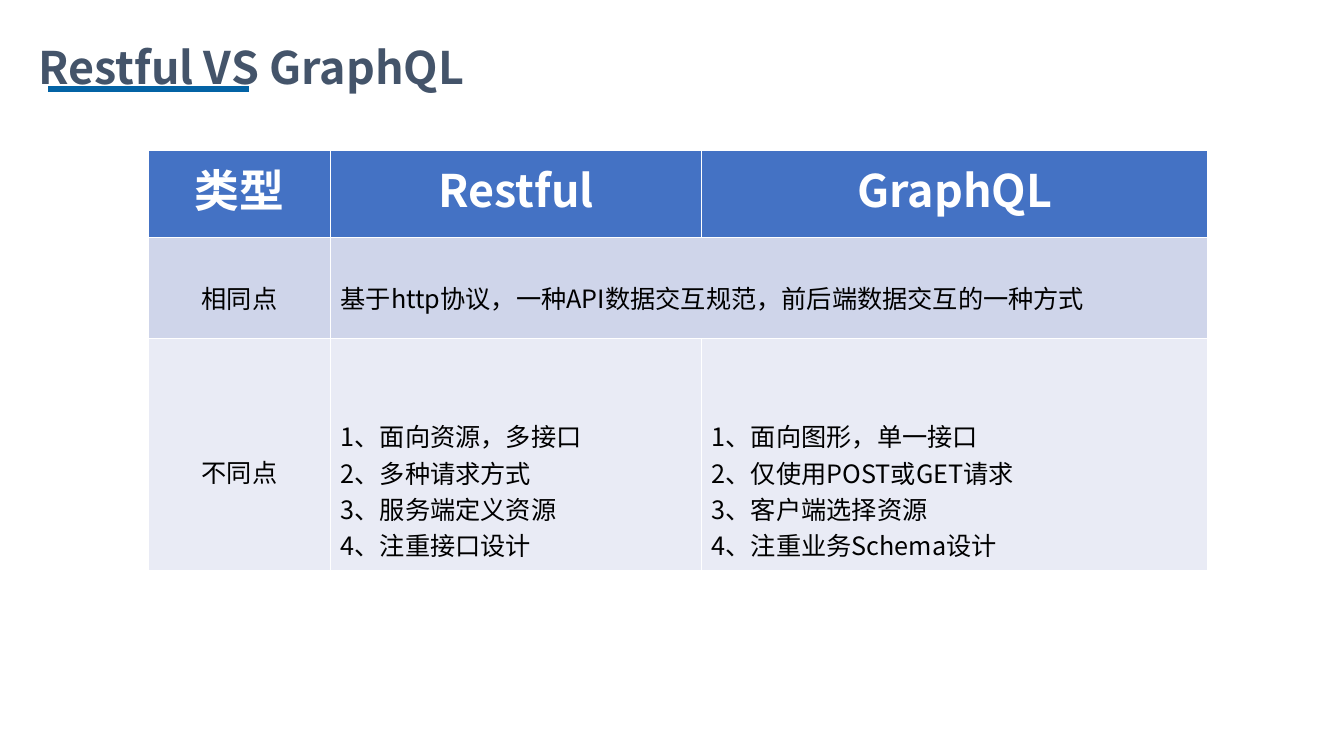
from lxml.etree import SubElement
from pptx import Presentation
from pptx.dml.color import RGBColor
from pptx.enum.shapes import MSO_CONNECTOR as Connector
from pptx.enum.text import MSO_ANCHOR as Anchor, MSO_AUTO_SIZE as AutoSize, PP_ALIGN as Align
from pptx.oxml.ns import qn
from pptx.util import Inches, Pt

FONT = "Noto Sans CJK SC"
rgb = RGBColor.from_string


def write(frame, text, size=18, color="000000", bold=False, align=Align.LEFT, spacing=None):
    for index, line in enumerate(text.split("\n")):
        paragraph = frame.paragraphs[0] if index == 0 else frame.add_paragraph()
        paragraph.alignment = align
        paragraph.line_spacing = spacing
        run = paragraph.add_run()
        run.text = line
        run.font.name = FONT
        run.font.size = Pt(size)
        run.font.bold = bold
        run.font.color.rgb = rgb(color)
        SubElement(run.font._element, qn("a:ea"), typeface=FONT)


deck = Presentation()
deck.slide_width, deck.slide_height = Inches(13.33), Inches(7.5)
slide = deck.slides.add_slide(deck.slide_layouts[5])

heading = slide.shapes.title
heading.left, heading.top = Inches(0.28), Inches(0.08)
heading.width, heading.height = Inches(5.05), Inches(0.91)
heading.text_frame.vertical_anchor = Anchor.TOP
heading.text_frame.auto_size = AutoSize.SHAPE_TO_FIT_TEXT
heading.text_frame.word_wrap = True
write(heading.text_frame, "Restful VS GraphQL", size=32, color="44546A", bold=True, spacing=1.5)

underline = slide.shapes.add_connector(
    Connector.STRAIGHT, Inches(0.48), Inches(0.88), Inches(2.47), Inches(0.88))
underline.line.color.rgb = rgb("0363A5")
underline.line.width = Pt(4.5)
SubElement(underline.element.spPr, qn("a:effectLst"))
heading.element.addprevious(underline.element)

comparison = slide.shapes.add_table(
    3, 3, Inches(1.47), Inches(1.49), Inches(10.51), Inches(4.17)).table
for column, width in zip(comparison.columns, [1.81, 3.68, 5.02]):
    column.width = Inches(width)
for row, height in zip(comparison.rows, [0.87, 1, 2.3]):
    row.height = Inches(height)
comparison.cell(1, 1).merge(comparison.cell(1, 2))

row_fills = ["4472C4", "CFD5EA", "E9EBF5"]
top_margins = [[0.05, 0.05, 0.05], [0.41, 0.41, 0.41], [1.14, 0.78, 0.78]]
contents = [
    ["类型", "Restful", "GraphQL"],
    ["相同点", "基于http协议，一种API数据交互规范，前后端数据交互的一种方式", ""],
    ["不同点",
     "1、面向资源，多接口\n2、多种请求方式\n3、服务端定义资源\n4、注重接口设计",
     "1、面向图形，单一接口\n2、仅使用POST或GET请求\n3、客户端选择资源\n4、注重业务Schema设计"],
]
for r, texts in enumerate(contents):
    for c, text in enumerate(texts):
        cell = comparison.cell(r, c)
        cell.fill.solid()
        cell.fill.fore_color.rgb = rgb(row_fills[r])
        if cell.is_spanned:
            continue
        cell.margin_top = Inches(top_margins[r][c])
        header = r == 0
        write(cell.text_frame, text, size=32 if header else 18,
              color="FFFFFF" if header else "000000", bold=header,
              align=Align.CENTER if header or c == 0 else Align.LEFT)

deck.save("out.pptx")
